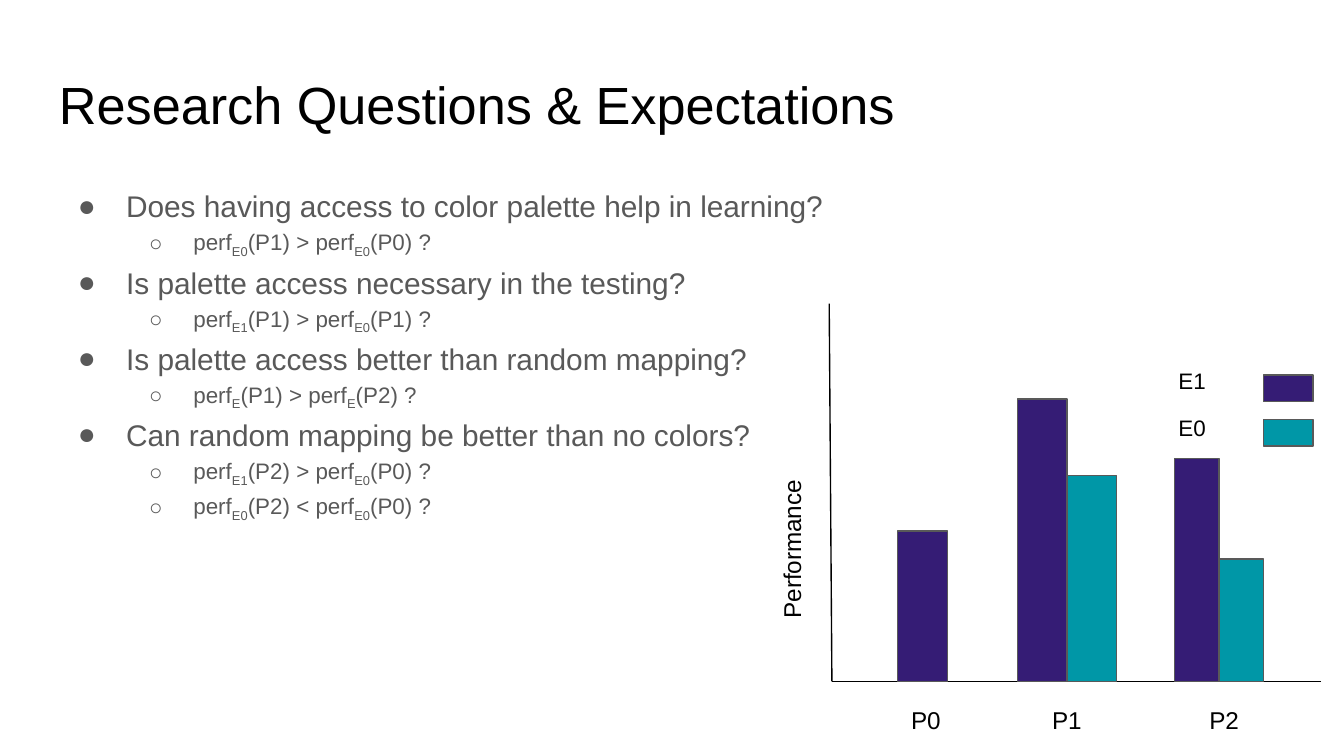
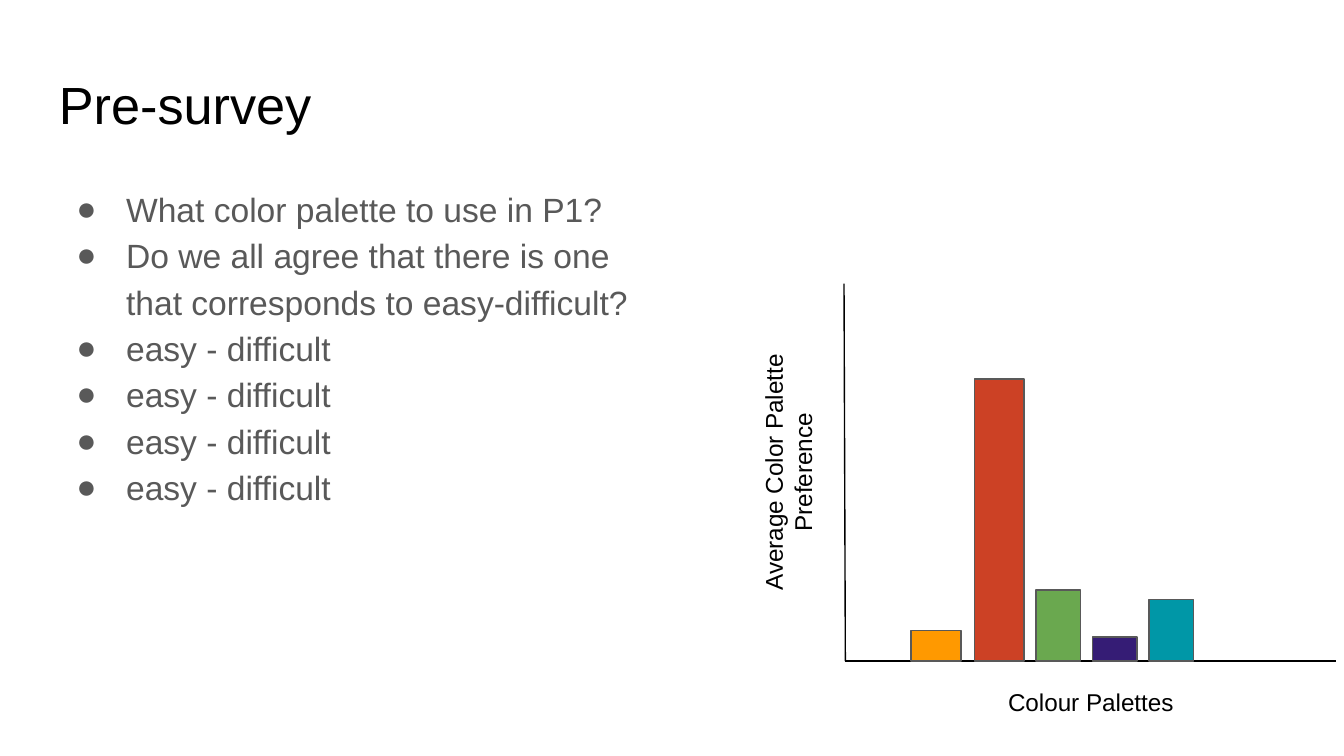
from pptx import Presentation
from pptx.dml.color import RGBColor
from pptx.enum.shapes import MSO_CONNECTOR as Link, MSO_SHAPE as Shape
from pptx.enum.text import MSO_AUTO_SIZE as Fit, PP_ALIGN as Align
from pptx.oxml.ns import qn
from pptx.util import Inches, Pt
from lxml.etree import SubElement

BLACK, GREY = "000000", "595959"
PURPLE, TEAL = "351C75", "0097A7"
ORANGE, RED, GREEN = "FF9900", "CC4125", "6AA84F"


def color(code):
    return RGBColor.from_string(code)


class Deck:
    face = "Arial"
    left, wide = 0.34, 9.32

    def __init__(self):
        self.prs = Presentation()
        self.prs.slide_width = Inches(10)
        self.prs.slide_height = Inches(10 * 9 / 16)

    def page(self, title):
        self.slide = self.prs.slides.add_slide(self.prs.slide_layouts[6])
        frame = self.frame(self.left, 0.49, self.wide, 0.63).text_frame
        para = frame.paragraphs[0]
        para.text = title
        para.line_spacing = 0.9
        self.font(para, 28, BLACK)

    def font(self, para, size, code):
        para.font.name = self.face
        para.font.size = Pt(size)
        para.font.color.rgb = color(code)

    def frame(self, x, y, w, h):
        box = self.slide.shapes.add_textbox(*map(Inches, (x, y, w, h)))
        text = box.text_frame
        text.word_wrap = True
        text.margin_left = text.margin_right = Inches(0.1)
        text.margin_top = text.margin_bottom = Inches(0.1)
        return box

    def label(self, text, x, y, w, h=0.42, size=13, align=None, turn=0):
        box = self.frame(x, y, w, h)
        box.rotation = turn
        box.text_frame.auto_size = Fit.SHAPE_TO_FIT_TEXT
        para = box.text_frame.paragraphs[0]
        para.text = text
        para.alignment = align
        self.font(para, size, BLACK)

    def bullet(self, para, level, hang):
        props = para._p.get_or_add_pPr()
        props.set("marL", str(Inches(0.5 + 0.5 * level)))
        props.set("indent", str(-Inches(hang)))
        tint = SubElement(props, qn("a:buClr"))
        SubElement(tint, qn("a:srgbClr"), val=GREY)
        SubElement(props, qn("a:buFont"), typeface=self.face)
        SubElement(props, qn("a:buChar"), char="●○"[level])

    def body(self, items, width, sizes, hangs):
        text = self.frame(self.left, 1.26, width, 3.74).text_frame
        for pos, (level, line) in enumerate(items):
            para = text.add_paragraph() if pos else text.paragraphs[0]
            para.level = level
            self.bullet(para, level, hangs[level])
            para.line_spacing = 1.15
            self.font(para, sizes[level], GREY)
            for part, piece in enumerate(line.split("_")):
                run = para.add_run()
                run.text = piece
                if part % 2:
                    run._r.get_or_add_rPr().set("baseline", "-25000")

    def line(self, *ends):
        rule = self.slide.shapes.add_connector(Link.STRAIGHT, *map(Inches, ends))
        rule.line.color.rgb = color(BLACK)
        rule.line.width = Pt(0.75)
        SubElement(rule._element.spPr, qn("a:effectLst"))

    def axes(self, x, foot, base, end):
        self.base = base
        self.line(x, base - 2.81, foot, base)
        self.line(end, base, foot, base)

    def rect(self, x, y, w, h, fill):
        box = self.slide.shapes.add_shape(Shape.RECTANGLE, *map(Inches, (x, y, w, h)))
        box.shadow.inherit = False
        box.fill.solid()
        box.fill.fore_color.rgb = color(fill)
        box.line.color.rgb = color(GREY)
        box.line.width = Pt(0.75)

    def bar(self, x, w, h, fill):
        self.rect(x, self.base - h, w, h, fill)


def goals(deck):
    deck.page("Research Questions & Expectations")
    deck.body([
        (0, "Does having access to color palette help in learning?"),
        (1, "perf_E0_(P1) > perf_E0_(P0) ?"),
        (0, "Is palette access necessary in the testing?"),
        (1, "perf_E1_(P1) > perf_E0_(P1) ?"),
        (0, "Is palette access better than random mapping?"),
        (1, "perf_E_(P1) > perf_E_(P2) ?"),
        (0, "Can random mapping be better than no colors?"),
        (1, "perf_E1_(P2) > perf_E0_(P0) ?"),
        (1, "perf_E0_(P2) < perf_E0_(P0) ?"),
    ], deck.wide, (16, 12), (0.36, 0.33))
    deck.axes(6.17, 6.19, 5.07, 9.83)
    bars = ((6.68, 0.37, 1.12, 0), (7.57, 0.37, 2.1, 1.53), (8.74, 0.33, 1.66, 0.91))
    for x, w, tall, low in bars:
        deck.bar(x, w, tall, PURPLE)
    for name, x in (("P0", 6.68), ("P1", 7.73), ("P2", 8.9)):
        deck.label(name, x, 5.15, 0.69)
    deck.label("Performance", 4.72, 3.32, 2.34, turn=270)
    for x, w, tall, low in bars[1:]:
        deck.bar(x + w, w, low, TEAL)
    for name, y, key, fill in (("E1", 2.63, 2.79, PURPLE), ("E0", 2.98, 3.12, TEAL)):
        deck.label(name, 8.67, y, 0.61, 0.4, 12)
        deck.rect(9.4, key, 0.37, 0.2, fill)


def survey(deck):
    deck.page("Pre-survey")
    lines = ["What color palette to use in P1?",
             "Do we all agree that there is one that corresponds to easy-difficult?"]
    lines += ["easy - difficult"] * 4
    deck.body([(0, line) for line in lines], deck.wide / 2, (18,), (0.37,))
    deck.axes(6.28, 6.29, 4.92, 9.94)
    for x, w, h, fill in ((6.78, 0.37, 0.23, ORANGE), (7.25, 0.37, 2.1, RED),
                          (7.71, 0.33, 0.53, GREEN), (8.13, 0.33, 0.18, PURPLE),
                          (8.55, 0.33, 0.46, TEAL)):
        deck.bar(x, w, h, fill)
    deck.label("Colour Palettes", 7.14, 5.01, 1.95, align=Align.CENTER)
    deck.label("Average Color Palette Preference", 4.69, 3.2, 2.34, 0.63,
               align=Align.CENTER, turn=270)


def main():
    deck = Deck()
    goals(deck)
    survey(deck)
    deck.prs.save("out.pptx")


if __name__ == "__main__":
    main()
